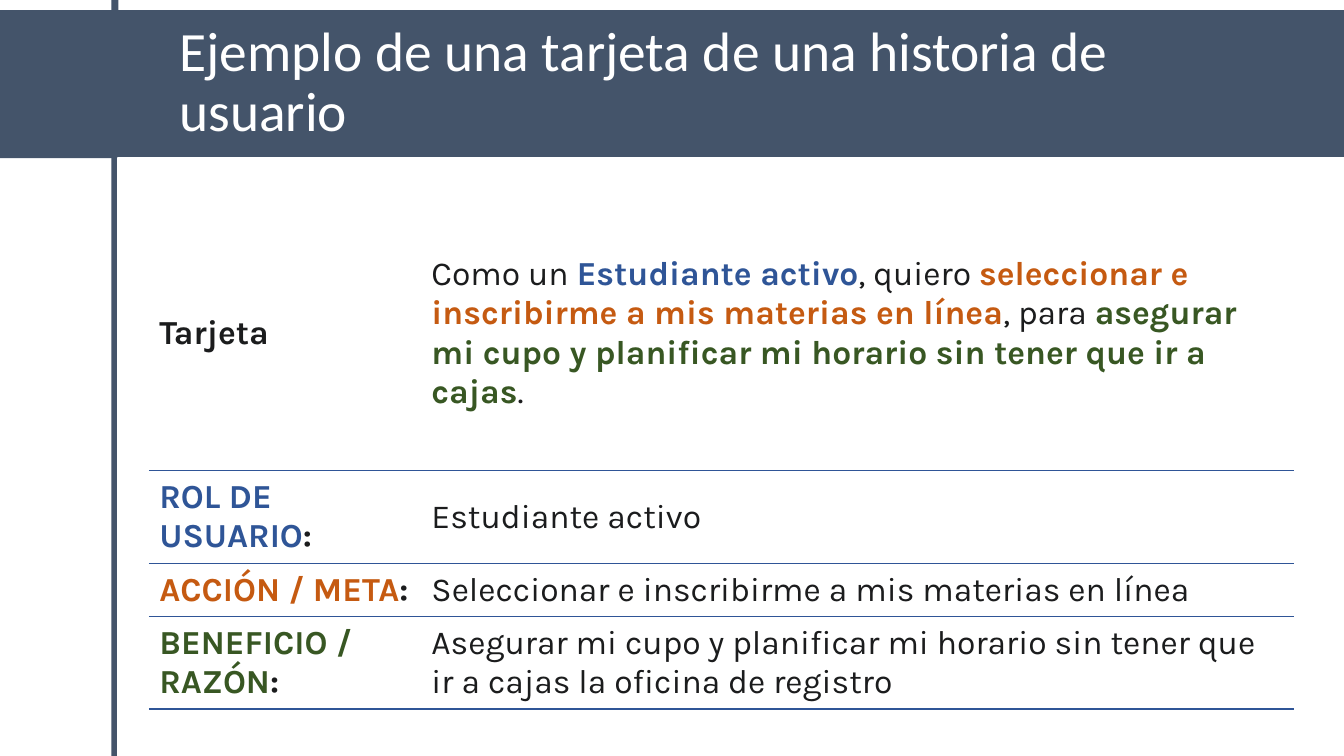
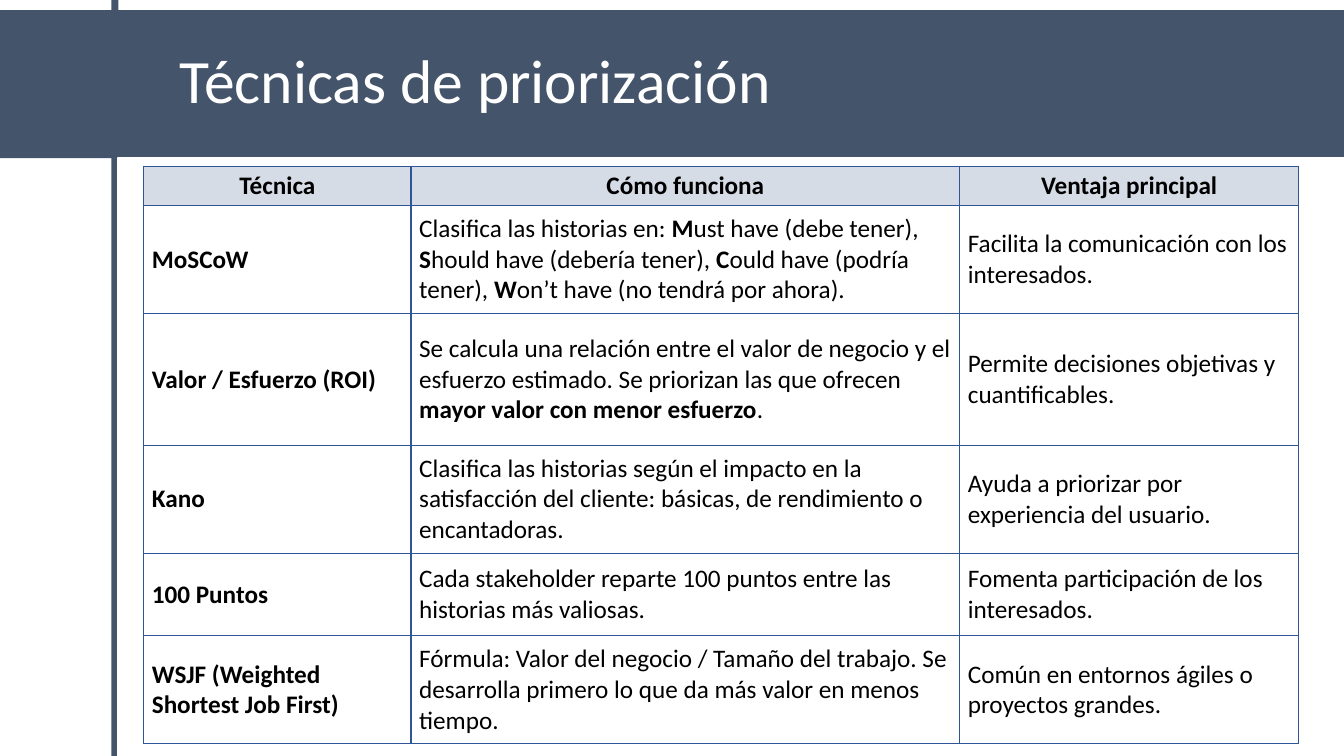
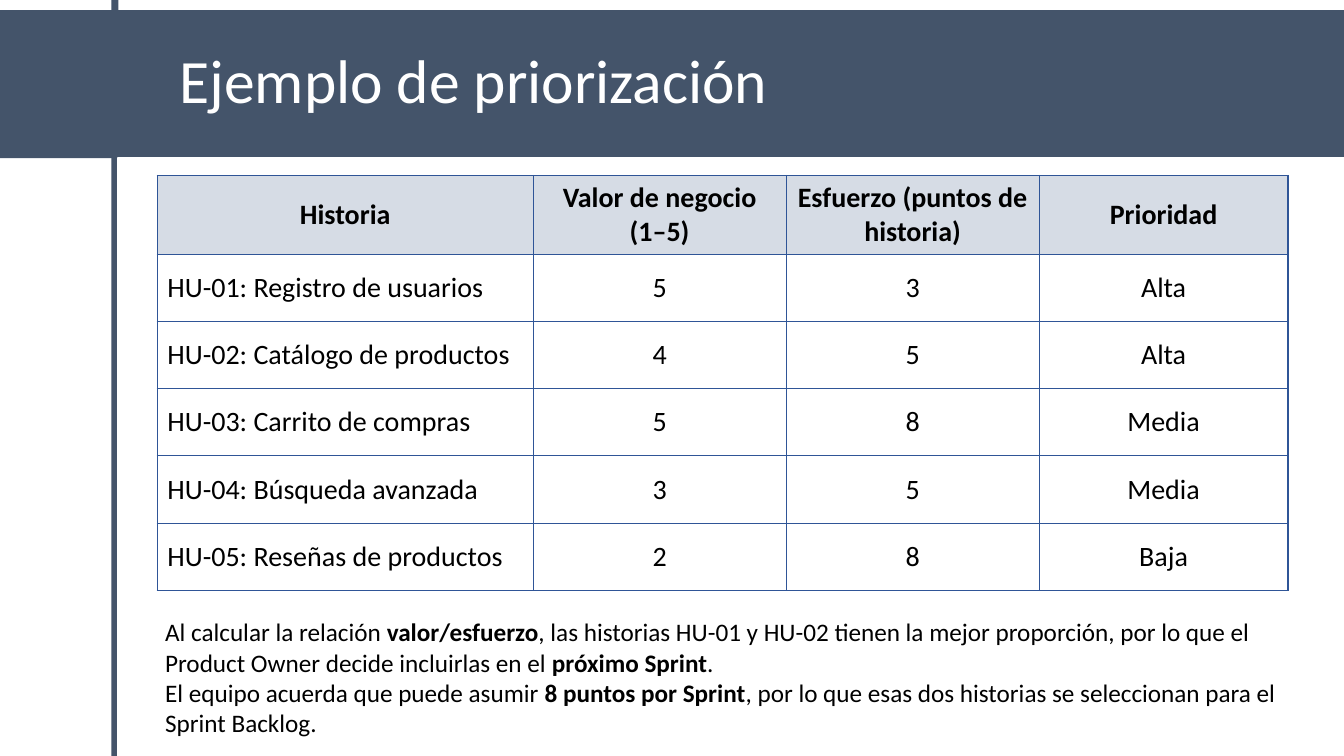
import pptx
import pptx.util
import pptx.dml.color
import pptx.enum.shapes
import pptx.enum.text
import pptx.oxml
import pptx.oxml.ns

Pt = pptx.util.Pt
ALIGN = pptx.enum.text.PP_ALIGN
MIDDLE = pptx.enum.text.MSO_ANCHOR.MIDDLE

COLORS = {
    "slate": "44546A",
    "white": "FFFFFF",
    "black": "000000",
    "ink": "1B1C1D",
    "blue": "2F5597",
    "orange": "C55A11",
    "green": "385723",
    "header": "D6DCE5",
}
SLIDE_WIDTH, SLIDE_HEIGHT = 960, 540
BAND_TOP, BAND_BOTTOM = 7.2, 113
RAIL_LEFT, RAIL_WIDTH = 79.6, 5
PANEL_LEFT = 84.2
TITLE_BOX = (121, 18.7, 788.4, 81.4)
GRID_EDGES = (("blue", 1),) * 4


def rgb(name):
    return pptx.dml.color.RGBColor.from_string(COLORS[name])


def place(shape, box):
    shape.left, shape.top, shape.width, shape.height = map(Pt, box)


def add_block(slide, box, fill, line=None):
    block = slide.shapes.add_shape(
        pptx.enum.shapes.MSO_SHAPE.RECTANGLE, *map(Pt, box))
    block.shadow.inherit = False
    block.fill.solid()
    block.fill.fore_color.rgb = rgb(fill)
    if line:
        block.line.color.rgb = rgb(line)
        block.line.width = Pt(1)
    else:
        block.line.fill.background()
    return block


def prepare_layout(deck):
    layout = deck.slide_layouts[5]
    for placeholder in list(layout.placeholders):
        if placeholder.placeholder_format.idx:
            placeholder.element.getparent().remove(placeholder.element)
        else:
            place(placeholder, TITLE_BOX)
    return layout


def move_frame_to_layout(slide, layout):
    blocks = [
        add_block(slide, (0, BAND_TOP, SLIDE_WIDTH, BAND_BOTTOM - BAND_TOP), "slate"),
        add_block(slide, (RAIL_LEFT, 0, RAIL_WIDTH, SLIDE_HEIGHT), "slate"),
        add_block(slide, (PANEL_LEFT, BAND_BOTTOM, SLIDE_WIDTH - PANEL_LEFT,
                          SLIDE_HEIGHT - BAND_BOTTOM), "white", "white"),
    ]
    for position, block in enumerate(blocks, 2):
        layout.shapes.element.insert(position, block.element)


def write_runs(paragraph, parts, size, font, color, bold=False):
    for part in [parts] if isinstance(parts, str) else parts:
        text, accent = (part, None) if isinstance(part, str) else part
        run = paragraph.add_run()
        run.text = text
        run.font.size = Pt(size)
        run.font.name = font
        run.font.bold = bold or accent is not None
        run.font.color.rgb = rgb(accent or color)


def add_title_slide(deck, layout, title, size=44):
    slide = deck.slides.add_slide(layout)
    place(slide.shapes.title, TITLE_BOX)
    frame = slide.shapes.title.text_frame
    frame.text = title
    frame.word_wrap = True
    frame.auto_size = pptx.enum.text.MSO_AUTO_SIZE.NONE
    frame.vertical_anchor = MIDDLE
    heading = frame.paragraphs[0]
    heading.alignment = ALIGN.LEFT
    heading.line_spacing = 0.9
    font = heading.runs[0].font
    font.size = Pt(size)
    font.name = "Calibri"
    font.color.rgb = rgb("white")
    return slide


def set_edges(cell, edges):
    properties = cell._tc.get_or_add_tcPr()
    for position, (side, (color, width)) in enumerate(zip("LRTB", edges)):
        properties.insert(position, pptx.oxml.parse_xml(
            f'<a:ln{side} {pptx.oxml.ns.nsdecls("a")} w="{Pt(width)}">'
            f'<a:solidFill><a:srgbClr val="{COLORS[color]}"/></a:solidFill>'
            f'</a:ln{side}>'))


def add_grid(slide, box, columns, rows, margins, header=True):
    left, top, width, height = box
    table = slide.shapes.add_table(
        len(rows), len(columns), *map(Pt, box)).table
    table.first_row = header
    table.horz_banding = False
    for column, share in zip(table.columns, columns):
        column.width = Pt(width * share / sum(columns))
    for row, share in zip(table.rows, rows):
        row.height = Pt(height * share / sum(rows))
    for cell in table.iter_cells():
        cell.vertical_anchor = MIDDLE
        cell.margin_left = cell.margin_right = Pt(margins[0])
        cell.margin_top = cell.margin_bottom = Pt(margins[1])
        cell.fill.background()
    return table


def add_story_card(slide, box, entries):
    table = add_grid(slide, box, (2.7, 8.65), (1.69, 0.52, 0.92, 0.52, 0.92),
                     (7.2, 5), header=False)
    clear, rule = ("white", 0.6), ("blue", 1)
    for index, entry in enumerate(entries):
        above = clear if index < 2 else rule
        below = clear if index < 1 else rule
        for column, parts in enumerate(entry):
            cell = table.cell(index, column)
            write_runs(cell.text_frame.paragraphs[0], parts, 24, "Karla", "ink")
            set_edges(cell, (clear, clear, above, below))


def add_header_table(slide, box, columns, rows, margins, size, entries, aligns,
                     bold_first=False):
    table = add_grid(slide, box, columns, rows, margins)
    for index, entry in enumerate(entries):
        for column, parts in enumerate(entry):
            cell = table.cell(index, column)
            paragraph = cell.text_frame.paragraphs[0]
            is_header = index == 0
            paragraph.alignment = ALIGN.CENTER if is_header else aligns[column]
            write_runs(paragraph, parts, size, "Calibri", "black",
                       is_header or (bold_first and column == 0))
            if is_header:
                cell.fill.solid()
                cell.fill.fore_color.rgb = rgb("header")
            set_edges(cell, GRID_EDGES)


def add_conclusion(slide, box, paragraphs):
    frame = slide.shapes.add_textbox(*map(Pt, box)).text_frame
    frame.word_wrap = True
    for index, parts in enumerate(paragraphs):
        paragraph = frame.add_paragraph() if index else frame.paragraphs[0]
        write_runs(paragraph, parts, 18, "Calibri", "black")


STORY = [
    ([("Tarjeta", "ink")],
     ["Como un ", ("Estudiante activo", "blue"), ", quiero ",
      ("seleccionar e inscribirme a mis materias en línea", "orange"), ", para ",
      ("asegurar mi cupo y planificar mi horario sin tener que ir a cajas", "green"),
      "."]),
    ([], []),
    ([("ROL DE USUARIO", "blue"), (":", "ink")], "Estudiante activo"),
    ([("ACCIÓN / META", "orange"), (":", "ink")],
     "Seleccionar e inscribirme a mis materias en línea"),
    ([("BENEFICIO / RAZÓN", "green"), (":", "ink")],
     "Asegurar mi cupo y planificar mi horario sin tener que ir a cajas "
     "la oficina de registro"),
]

TECHNIQUES = [
    ("Técnica", "Cómo funciona", "Ventaja principal"),
    ("MoSCoW",
     ["Clasifica las historias en: ", ("M", "black"), "ust have (debe tener), ",
      ("S", "black"), "hould have (debería tener), ",
      ("C", "black"), "ould have (podría tener), ",
      ("W", "black"), "on’t have (no tendrá por ahora)."],
     "Facilita la comunicación con los interesados."),
    ("Valor / Esfuerzo (ROI)",
     ["Se calcula una relación entre el valor de negocio y el esfuerzo estimado. "
      "Se priorizan las que ofrecen ",
      ("mayor valor con menor esfuerzo", "black"), "."],
     "Permite decisiones objetivas y cuantificables."),
    ("Kano",
     "Clasifica las historias según el impacto en la satisfacción del cliente: "
     "básicas, de rendimiento o encantadoras.",
     "Ayuda a priorizar por experiencia del usuario."),
    ("100 Puntos",
     "Cada stakeholder reparte 100 puntos entre las historias más valiosas.",
     "Fomenta participación de los interesados."),
    ("WSJF (Weighted Shortest Job First)",
     "Fórmula: Valor del negocio / Tamaño del trabajo. Se desarrolla primero "
     "lo que da más valor en menos tiempo.",
     "Común en entornos ágiles o proyectos grandes."),
]

BACKLOG = [
    ("Historia", "Valor de negocio (1–5)", "Esfuerzo (puntos de historia)", "Prioridad"),
    ("HU-01: Registro de usuarios", "5", "3", "Alta"),
    ("HU-02: Catálogo de productos", "4", "5", "Alta"),
    ("HU-03: Carrito de compras", "5", "8", "Media"),
    ("HU-04: Búsqueda avanzada", "3", "5", "Media"),
    ("HU-05: Reseñas de productos", "2", "8", "Baja"),
]

CONCLUSION = [
    ["Al calcular la relación ", ("valor/esfuerzo", "black"),
     ", las historias HU-01 y HU-02 tienen la mejor proporción, por lo que el "
     "Product Owner decide incluirlas en el ", ("próximo Sprint", "black"), "."],
    ["El equipo acuerda que puede asumir ", ("8 puntos por Sprint", "black"),
     ", por lo que esas dos historias se seleccionan para el Sprint Backlog."],
]


def main():
    deck = pptx.Presentation()
    deck.slide_width, deck.slide_height = Pt(SLIDE_WIDTH), Pt(SLIDE_HEIGHT)
    layout = prepare_layout(deck)

    card = add_title_slide(
        deck, layout, "Ejemplo de una tarjeta de una historia de usuario", 39.6)
    move_frame_to_layout(card, layout)
    add_story_card(card, (106.6, 177.1, 817.2, 328.3), STORY)

    techniques = add_title_slide(deck, layout, "Técnicas de priorización")
    add_header_table(
        techniques, (102.7, 118.8, 825, 412.5), (2.65, 5.44, 3.36),
        (0.39, 1.07, 1.31, 1.07, 0.82, 1.07), (5.8, 2.9), 18, TECHNIQUES,
        (ALIGN.LEFT,) * 3, bold_first=True)

    example = add_title_slide(deck, layout, "Ejemplo de priorización")
    add_header_table(
        example, (112.3, 125.3, 807.8, 295.5), (3.73, 2.51, 2.51, 2.47),
        (0.77,) + (0.67,) * 5, (7.2, 3.6), 20, BACKLOG,
        (ALIGN.LEFT,) + (ALIGN.CENTER,) * 3)
    add_conclusion(example, (110.9, 437, 810.7, 94.3), CONCLUSION)

    deck.save("out.pptx")


if __name__ == "__main__":
    main()
